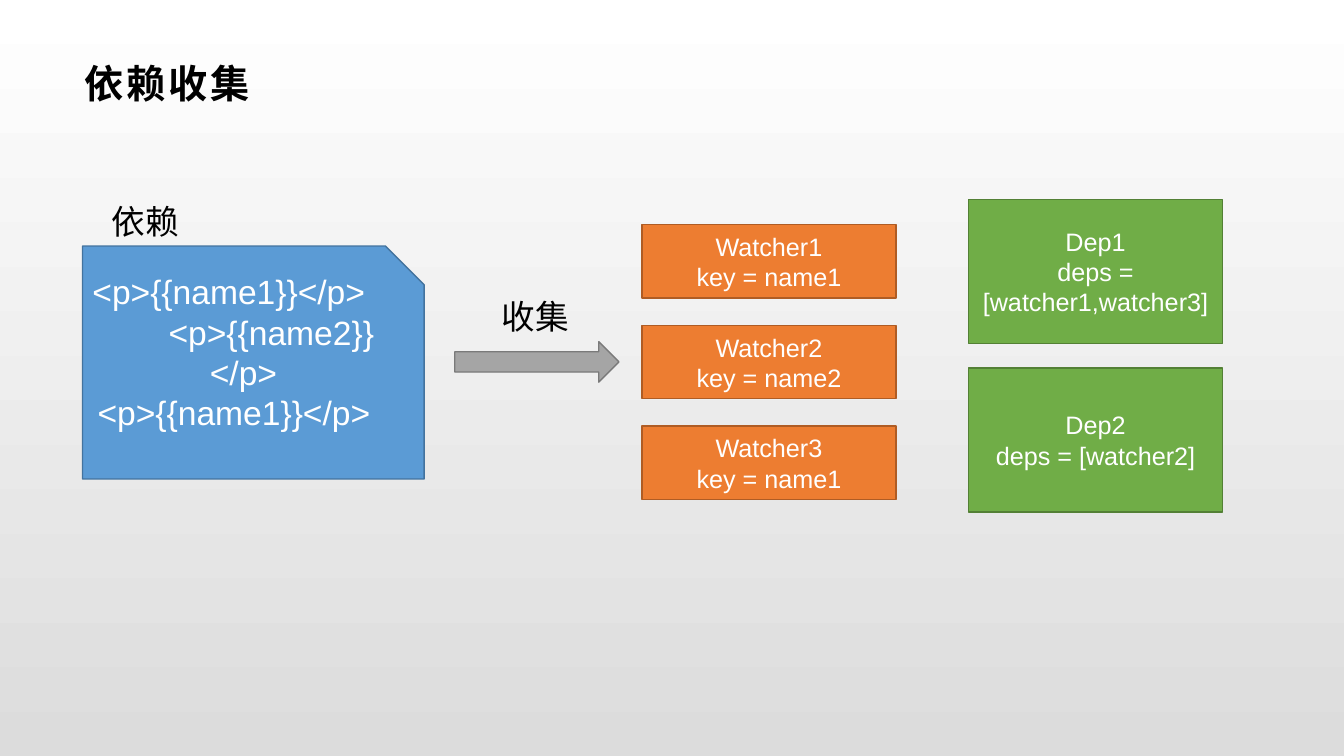
from pptx import Presentation
from pptx.dml.color import RGBColor
from pptx.enum.shapes import MSO_SHAPE
from pptx.enum.text import MSO_ANCHOR, MSO_AUTO_SIZE, PP_ALIGN
from pptx.util import Cm, Pt

RECT, SNIP, ARROW = MSO_SHAPE.RECTANGLE, MSO_SHAPE.SNIP_1_RECTANGLE, MSO_SHAPE.RIGHT_ARROW
LEFT, CENTER = PP_ALIGN.LEFT, PP_ALIGN.CENTER
MIDDLE = MSO_ANCHOR.MIDDLE
GROW = MSO_AUTO_SIZE.SHAPE_TO_FIT_TEXT
FONT = "Arial"

COLORS = {
    "black": "000000", "white": "FFFFFF", "bg_end": "DCDCDC",
    "blue": "5B9BD5", "blue_line": "43739E",
    "gray": "A5A5A5", "gray_line": "7A7A7A",
    "orange": "ED7D31", "orange_line": "AF5C24",
    "green": "70AD47", "green_line": "538035",
}

# Content
TITLE = "依赖收集"
# Template lines with their left indent in cm
TEMPLATE = [("<p>{{name1}}</p>", 0), ("<p>{{name2}}", 1.92),
            ("</p>", 2.96), ("<p>{{name1}}</p>", 0.13)]
LABELS = [("依赖", 2.57, 4.95, 6.07), ("收集", 12.4, 7.32, 2.29)]
WATCHERS = ["Watcher1\nkey = name1", "Watcher2\nkey = name2", "Watcher3\nkey = name1"]
DEPS = ["Dep1\ndeps = [watcher1,watcher3]", "Dep2\ndeps = [watcher2]"]

# Columns of boxes: texts, colour, left, top, height, pitch
COLUMNS = [(WATCHERS, "orange", 16.18, 5.66, 1.85, 2.54),
           (DEPS, "green", 24.41, 5.03, 3.63, 4.24)]
BOX_WIDTH = 6.4


def rgb(name):
    return RGBColor.from_string(COLORS[name])


def write(tf, text, size, color, align=LEFT):
    tf.word_wrap = True
    tf.text = text
    for p in tf.paragraphs:
        p.alignment = align
        for r in p.runs:
            r.font.name = FONT
            r.font.size = Pt(size)
            r.font.color.rgb = rgb(color)


def add_block(s, kind, color, x, y, w, h):
    sp = s.shapes.add_shape(kind, Cm(x), Cm(y), Cm(w), Cm(h))
    sp.shadow.inherit = False
    sp.fill.solid()
    sp.fill.fore_color.rgb = rgb(color)
    sp.line.color.rgb = rgb(color + "_line")
    sp.line.width = Pt(1)
    sp.text_frame.vertical_anchor = MIDDLE
    return sp


prs = Presentation()
prs.slide_width, prs.slide_height = Cm(33.87), Cm(19.05)
s = prs.slides.add_slide(prs.slide_layouts[5])

# Background
fill = s.background.fill
fill.gradient()
fill.gradient_angle = 270
for stop, color in zip(fill.gradient_stops, ("white", "bg_end")):
    stop.color.rgb = rgb(color)

# Title
title = s.shapes.title
title.left, title.top, title.width, title.height = Cm(1.85), Cm(1.19), Cm(30.15), Cm(1.8)
tf = title.text_frame
tf.margin_left, tf.margin_right = Cm(0.28), Cm(0.2)
tf.margin_top = tf.margin_bottom = Cm(0.1)
tf.vertical_anchor = MIDDLE
write(tf, TITLE, 28, "black")
r = tf.paragraphs[0].runs[0]
r.font.bold = True
r.font._element.set("spc", "200")

# Template card
tf = add_block(s, SNIP, "blue", 2.08, 6.2, 8.61, 5.87).text_frame
tf.margin_bottom = Cm(1.15)
write(tf, "\n".join(line for line, _ in TEMPLATE), 24, "white")
for p, (_, indent) in zip(tf.paragraphs, TEMPLATE):
    p._p.get_or_add_pPr().set("marL", str(Cm(indent)))

# Arrow
add_block(s, ARROW, "gray", 11.46, 8.61, 4.14, 1.02)

# Watcher and dep boxes
for texts, color, x, top, h, pitch in COLUMNS:
    for i, text in enumerate(texts):
        sp = add_block(s, RECT, color, x, top + i * pitch, BOX_WIDTH, h)
        write(sp.text_frame, text, 18, "white", CENTER)

# Labels
for text, x, y, w in LABELS:
    tf = s.shapes.add_textbox(Cm(x), Cm(y), Cm(w), Cm(1.27)).text_frame
    write(tf, text, 24, "black")
    tf.auto_size = GROW

prs.save("out.pptx")
